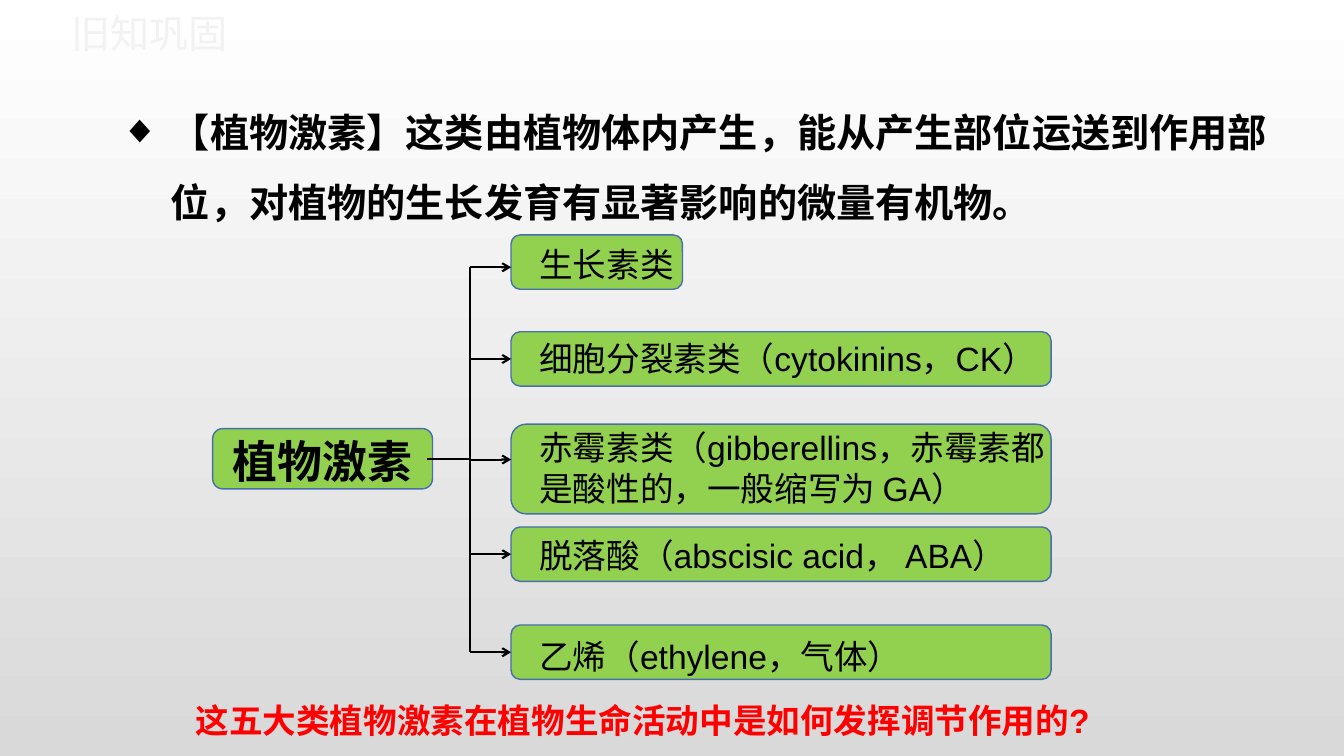
import pptx
import pptx.util
import pptx.dml.color
import pptx.enum.shapes
import pptx.enum.text
import pptx.oxml.ns
from lxml import etree

Cm, Pt = pptx.util.Cm, pptx.util.Pt
SHAPE = pptx.enum.shapes.MSO_SHAPE
ALIGN = pptx.enum.text.PP_ALIGN
qn = pptx.oxml.ns.qn

COLORS = {"top": "FFFFFF", "bottom": "D9D9D9", "green": "92D050", "edge": "476FAA",
          "text": "000000", "question": "FF0000", "heading": "F2F2F2"}
LATIN, CJK = "Arial", "Noto Sans CJK SC"

# text, box top, box width, box height, text offset, text width, arrow offset from box middle
BRANCHES = [
    ("生长素类", 0, 4.32, 1.37, 0.1, 4.09, 0.13),
    ("细胞分裂素类（cytokinins，CK）", 2.44, 13.61, 1.37, 0.02, 14.1, 0),
    ("赤霉素类（gibberellins，赤霉素都是酸性的，一般缩写为 GA）", 4.77, 13.61, 2.26, -0.05, 13.46, -0.24),
    ("脱落酸（abscisic acid， ABA）", 7.36, 13.61, 1.37, 0.08, 13.34, 0),
    ("乙烯（ethylene，气体）", 9.83, 13.61, 1.37, 0.15, 13.16, 0),
]


def color(name):
    return pptx.dml.color.RGBColor.from_string(COLORS[name])


def add_text(s, box, text, size, fill="text", bold=False, font=LATIN, align=ALIGN.LEFT):
    """Add a one-paragraph text box and return its paragraph."""
    tf = s.shapes.add_textbox(*map(Cm, box)).text_frame
    tf.word_wrap = True
    p = tf.paragraphs[0]
    p.alignment = align
    r = p.add_run()
    r.text = text
    r.font.size, r.font.bold, r.font.name = Pt(size), bold, font
    r.font.color.rgb = color(fill)
    etree.SubElement(r.font._element, qn("a:ea")).set("typeface", CJK)
    return p


def add_box(s, box):
    sp = s.shapes.add_shape(SHAPE.ROUNDED_RECTANGLE, *map(Cm, box))
    sp.shadow.inherit = False
    sp.fill.solid()
    sp.fill.fore_color.rgb = color("green")
    sp.line.color.rgb = color("edge")
    sp.line.width = Pt(1)
    return sp


def add_line(s, x1, y1, x2, y2, arrow=False):
    c = s.shapes.add_connector(pptx.enum.shapes.MSO_CONNECTOR.STRAIGHT, *map(Cm, (x1, y1, x2, y2)))
    c.line.color.rgb = color("text")
    c.line.width = Pt(1.5)
    if arrow:
        etree.SubElement(c.line._get_or_add_ln(), qn("a:tailEnd")).set("type", "arrow")
    etree.SubElement(c._element.spPr, qn("a:effectLst"))
    return c


def add_background(s):
    fill = s.background.fill
    fill.gradient()
    fill.gradient_angle = 270
    for stop, name, position in zip(fill.gradient_stops, ("top", "bottom"), (0, 1)):
        stop.color.rgb = color(name)
        stop.position = position


def add_definition(s, box):
    p = add_text(s, box, "【植物激素】这类由植物体内产生，能从产生部位运送到作用部位，"
                 "对植物的生长发育有显著影响的微量有机物。", 28, bold=True, font=CJK)
    p.line_spacing = 1.5
    pPr = p._p.get_or_add_pPr()
    pPr.set("marL", str(Cm(1.27)))
    pPr.set("indent", str(-Cm(1.27)))
    etree.SubElement(pPr, qn("a:buFont")).set("typeface", LATIN)
    etree.SubElement(pPr, qn("a:buChar")).set("char", "◆")


def add_hormone_tree(s, x, y):
    """Draw the root box, the trunk and one arrow per hormone class."""
    add_box(s, (x, y + 4.88, 5.54, 1.52))
    add_text(s, (x + 0.13, y + 4.88, 5.28, 1.63), "植物激素", 32, bold=True, align=ALIGN.CENTER)

    trunk, left = x + 6.48, x + 7.52
    arrow_ys = []
    for text, top, width, height, text_dy, text_width, arrow_dy in BRANCHES:
        sp = add_box(s, (left, y + top, width, height))
        add_text(s, (left + 0.46, y + top + text_dy, text_width, height), text, 24)
        arrow_y = y + top + height / 2 + arrow_dy
        arrow = add_line(s, trunk, arrow_y, left, arrow_y, arrow=True)
        if not arrow_dy:
            arrow.end_connect(sp, 1)
        arrow_ys.append(arrow_y)
    add_line(s, trunk, arrow_ys[0], trunk, arrow_ys[-1])
    add_line(s, x + 5.41, y + 5.64, trunk, y + 5.64)


def main():
    prs = pptx.Presentation()
    prs.slide_width, prs.slide_height = Cm(33.87), Cm(19.05)
    s = prs.slides.add_slide(prs.slide_layouts[6])
    add_background(s)
    add_text(s, (1.55, 0.1, 8, 1.4), "旧知巩固", 28, "heading")
    add_text(s, (4.27, 17.5, 23.85, 1.27), "这五大类植物激素在植物生命活动中是如何发挥调节作用的?",
             24, "question", bold=True, align=ALIGN.CENTER)
    add_definition(s, (2.79, 2, 29.41, 3.84))
    add_hormone_tree(s, 5.36, 5.92)
    prs.save("out.pptx")


if __name__ == "__main__":
    main()
